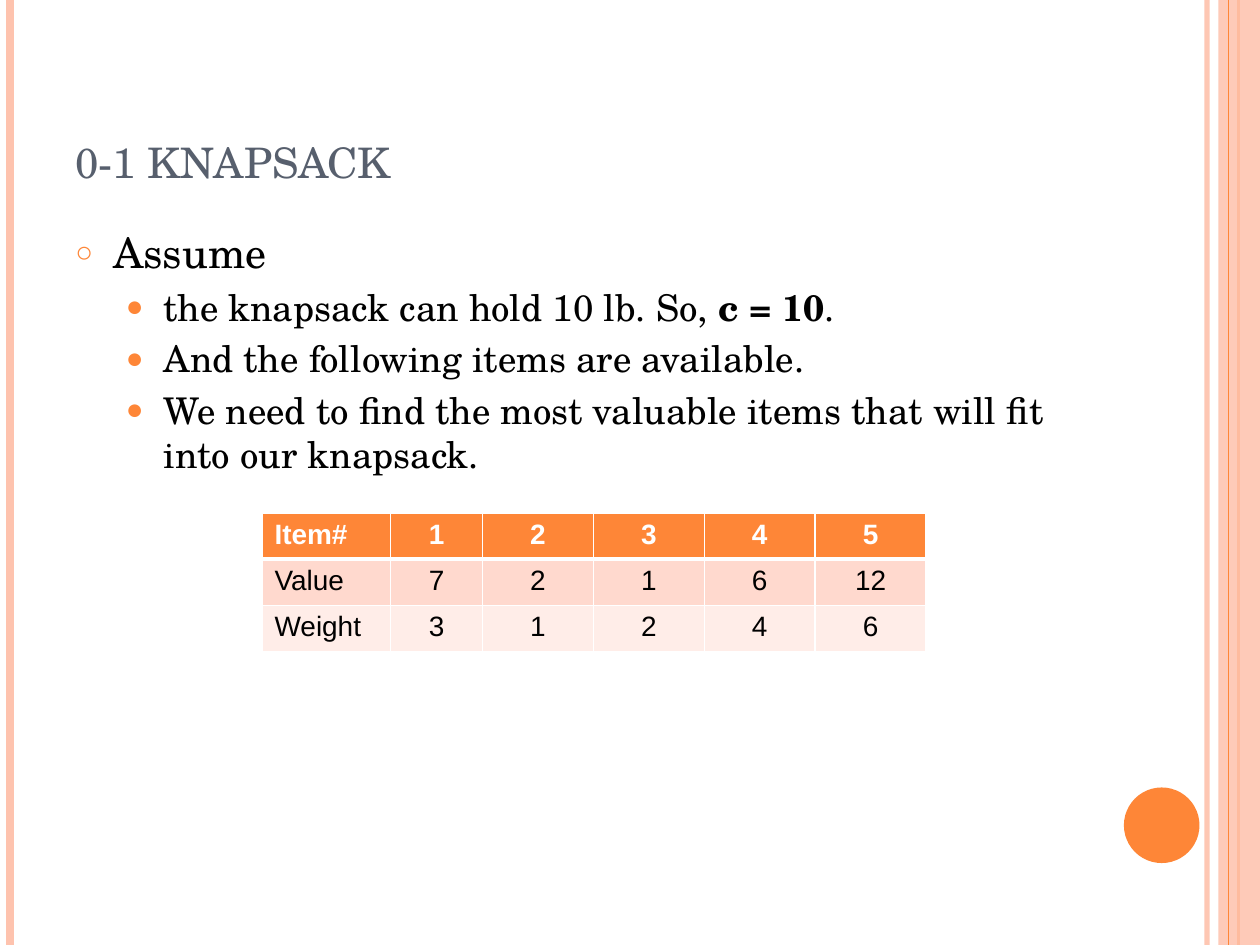
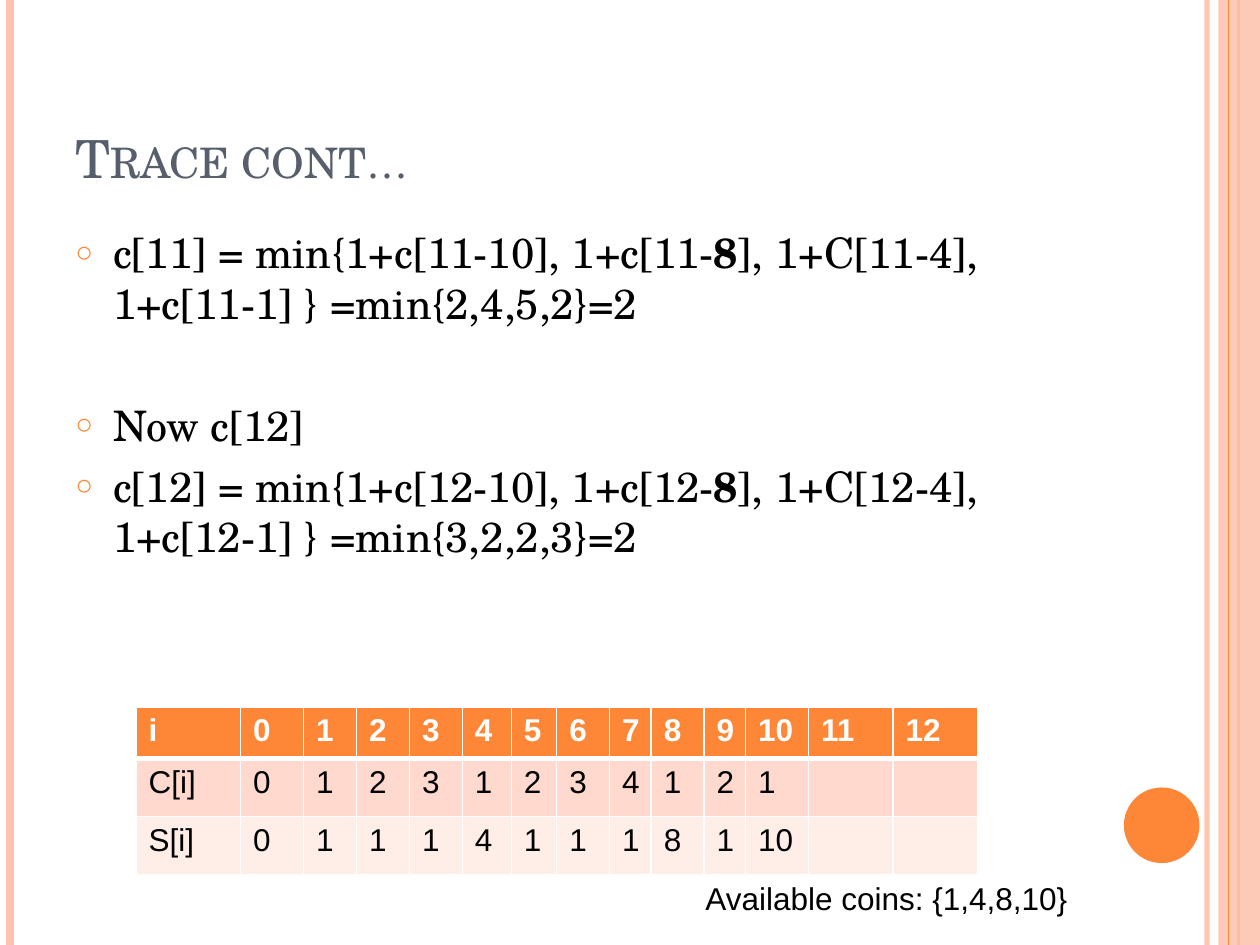
from dataclasses import dataclass
from typing import NamedTuple

from lxml import etree
from pptx import Presentation
from pptx import util as u
from pptx.dml.color import RGBColor
from pptx.enum import shapes, text
from pptx.oxml import ns

HUES = {
    "orange": "FE8637", "peach": "FEC3AE", "slate": "575F6D",
    "white": "FFFFFF", "black": "000000", "blush": "FFD9CE", "pale": "FFEDE8",
}
SERIF, SANS = "TeX Gyre Schola", "Arial"
TALL = 7.5


class Run(NamedTuple):
    words: str
    bold: bool = False


class Rule(NamedTuple):
    x: float
    hue: str
    width: float
    alpha: int = 100


class Level(NamedTuple):
    mark: str
    scale: int
    size: int
    left: float


@dataclass
class Point:
    runs: list[Run]
    level: int = 0
    before: float = 6


@dataclass
class Grid:
    left: float
    top: float
    cols: list[float]
    rows: list[float]
    cells: list[list[str]]
    size: int
    centred: bool = False


LEVELS = [Level("○", 70, 24, 0.3), Level("●", 80, 21, 0.7)]
RULES = [Rule(9.58, "peach", 3, 93), Rule(0.08, "peach", 4.5), Rule(9.83, "orange", 1.5)]
THIN = Rule(9.75, "orange", 0.75)


def rgb(hue: str) -> RGBColor:
    return RGBColor.from_string(HUES[hue])


def sub(node, tag: str, **attrs):
    return etree.SubElement(node, ns.qn(tag), attrs)


def fade(node, alpha: int) -> None:
    """Set the opacity, in percent, of the colour inside a node."""
    if alpha < 100:
        colour = next(node.iter(ns.qn("a:srgbClr")))
        sub(colour, "a:alpha", val=str(alpha * 1000))


# Text
def add_run(para, run: Run, font: str, size: float, hue: str):
    item = para.add_run()
    item.text = run.words
    item.font.name, item.font.size = font, u.Pt(size)
    item.font.bold = run.bold
    item.font.color.rgb = rgb(hue)
    return item


def add_box(slide, left: float, top: float, width: float, height: float, wrap: bool = True):
    box = slide.shapes.add_textbox(*map(u.Inches, (left, top, width, height)))
    box.text_frame.word_wrap = wrap
    return box.text_frame


def add_title(slide, words: str) -> None:
    frame = add_box(slide, 0.5, 0.3, 8.17, 1.25)
    frame.vertical_anchor = text.MSO_ANCHOR.BOTTOM
    run = add_run(frame.paragraphs[0], Run(words), SERIF, 30, "slate")
    run.font._element.set("cap", "small")


def add_mark(para, level: Level) -> None:
    props = para._p.get_or_add_pPr()
    props.set("marL", str(u.Inches(level.left)))
    props.set("indent", str(u.Inches(-0.3)))
    sub(sub(props, "a:buClr"), "a:srgbClr", val=HUES["orange"])
    sub(props, "a:buSzPct", val=str(level.scale * 1000))
    sub(props, "a:buFont", typeface=SANS)
    sub(props, "a:buChar", char=level.mark)


def add_points(slide, points: list[Point], width: float) -> None:
    frame = add_box(slide, 0.5, 1.75, width, 5.33)
    for i, point in enumerate(points):
        para = frame.add_paragraph() if i else frame.paragraphs[0]
        level = LEVELS[point.level]
        add_mark(para, level)
        if i:
            para.space_before = u.Pt(point.before)
        for run in point.runs:
            add_run(para, run, SERIF, level.size, "black")


# Table
def add_edges(cell, head: bool) -> None:
    props = cell._tc.get_or_add_tcPr()
    for side in "LRTB":
        width = 3 if head and side == "B" else 1
        line = sub(props, f"a:ln{side}", w=str(u.Pt(width)))
        sub(sub(line, "a:solidFill"), "a:srgbClr", val=HUES["white"])


def add_grid(slide, grid: Grid) -> None:
    table = slide.shapes.add_table(
        len(grid.rows), len(grid.cols), u.Inches(grid.left), u.Inches(grid.top),
        u.Inches(sum(grid.cols)), u.Inches(sum(grid.rows))).table
    table.first_row = table.horz_banding = False
    for col, width in zip(table.columns, grid.cols):
        col.width = u.Inches(width)
    fills = ["orange", "blush", "pale"]
    for r, (row, height) in enumerate(zip(table.rows, grid.rows)):
        row.height = u.Inches(height)
        head = r == 0
        for c, words in enumerate(grid.cells[r]):
            cell = table.cell(r, c)
            add_edges(cell, head)
            cell.fill.solid()
            cell.fill.fore_color.rgb = rgb(fills[r])
            para = cell.text_frame.paragraphs[0]
            if grid.centred and c:
                para.alignment = text.PP_ALIGN.CENTER
            if words:
                add_run(para, Run(words, head), SANS, grid.size, "white" if head else "black")


# Shared frame of stripes and dot
def add_rule(slide, rule: Rule) -> None:
    x = u.Inches(rule.x)
    line = slide.shapes.add_connector(shapes.MSO_CONNECTOR.STRAIGHT, x, 0, x, u.Inches(TALL))
    line.line.color.rgb = rgb(rule.hue)
    line.line.width = u.Pt(rule.width)
    props = line._element.spPr
    fade(props, rule.alpha)
    sub(props, "a:effectLst")


def add_shape(slide, kind, hue: str, left: float, top: float,
              width: float, height: float, alpha: int = 100) -> None:
    shape = slide.shapes.add_shape(kind, *map(u.Inches, (left, top, width, height)))
    shape.shadow.inherit = False
    shape.fill.solid()
    shape.fill.fore_color.rgb = rgb(hue)
    shape.line.fill.background()
    fade(shape._element.spPr, alpha)


def add_slide(deck, title: str):
    slide = deck.slides.add_slide(deck.slide_layouts[6])
    for rule in RULES:
        add_rule(slide, rule)
    add_shape(slide, shapes.MSO_SHAPE.RECTANGLE, "peach", 9.67, 0, 0.33, TALL, 87)
    add_rule(slide, THIN)
    add_shape(slide, shapes.MSO_SHAPE.OVAL, "orange", 8.92, 6.25, 0.6, 0.6)
    add_title(slide, title)
    return slide


def add_sack(deck) -> None:
    slide = add_slide(deck, "0-1 knapsack")
    add_points(slide, [
        Point([Run("Assume")]),
        Point([Run("the knapsack can hold 10 lb. So, "), Run("c = 10", True), Run(".")], 1, 4.2),
        Point([Run("And the following items are available.")], 1, 4.2),
        Point([Run("We need to find the most valuable items that will fit into our knapsack.")],
              1, 4.2),
    ], 8.17)
    add_grid(slide, Grid(2.08, 4.07, [1.02, 0.73] + [0.88] * 4, [0.35] * 3, [
        ["Item#", "1", "2", "3", "4", "5"],
        ["Value", "7", "2", "1", "6", "12"],
        ["Weight", "3", "1", "2", "4", "6"],
    ], 16, True))


def coin_step(n: int, mins: str, before: float = 6) -> Point:
    return Point([
        Run(f"c[{n}] = min{{1+c[{n}-10], 1+c[{n}-"), Run("8", True),
        Run(f"], 1+C[{n}-4], 1+c[{n}-1] }} =min{{{mins}}}=2"),
    ], before=before)


def add_trace(deck) -> None:
    slide = add_slide(deck, "Trace cont…")
    add_points(slide, [
        coin_step(11, "2,4,5,2"),
        Point([Run("Now c[12]")], before=41),
        coin_step(12, "3,2,2,3"),
    ], 8.42)
    cols = [0.83, 0.5, 0.42, 0.42, 0.42, 0.39, 0.36, 0.42, 0.33, 0.42, 0.33, 0.5, 0.67, 0.67]
    add_grid(slide, Grid(1.08, 5.61, cols, [0.41, 0.46, 0.46], [
        ["i"] + [str(i) for i in range(13)],
        ["C[i]", *"01231234121", "", ""],
        ["S[i]", *"0111411181", "10", "", ""],
    ], 18))
    note = add_box(slide, 5.5, 6.93, 3.17, 0.4, wrap=False)
    add_run(note.paragraphs[0], Run("Available coins: {1,4,8,10}"), SANS, 18, "black")


def main() -> None:
    deck = Presentation()
    deck.slide_width, deck.slide_height = u.Inches(10), u.Inches(TALL)
    add_sack(deck)
    add_trace(deck)
    deck.save("out.pptx")


if __name__ == "__main__":
    main()
